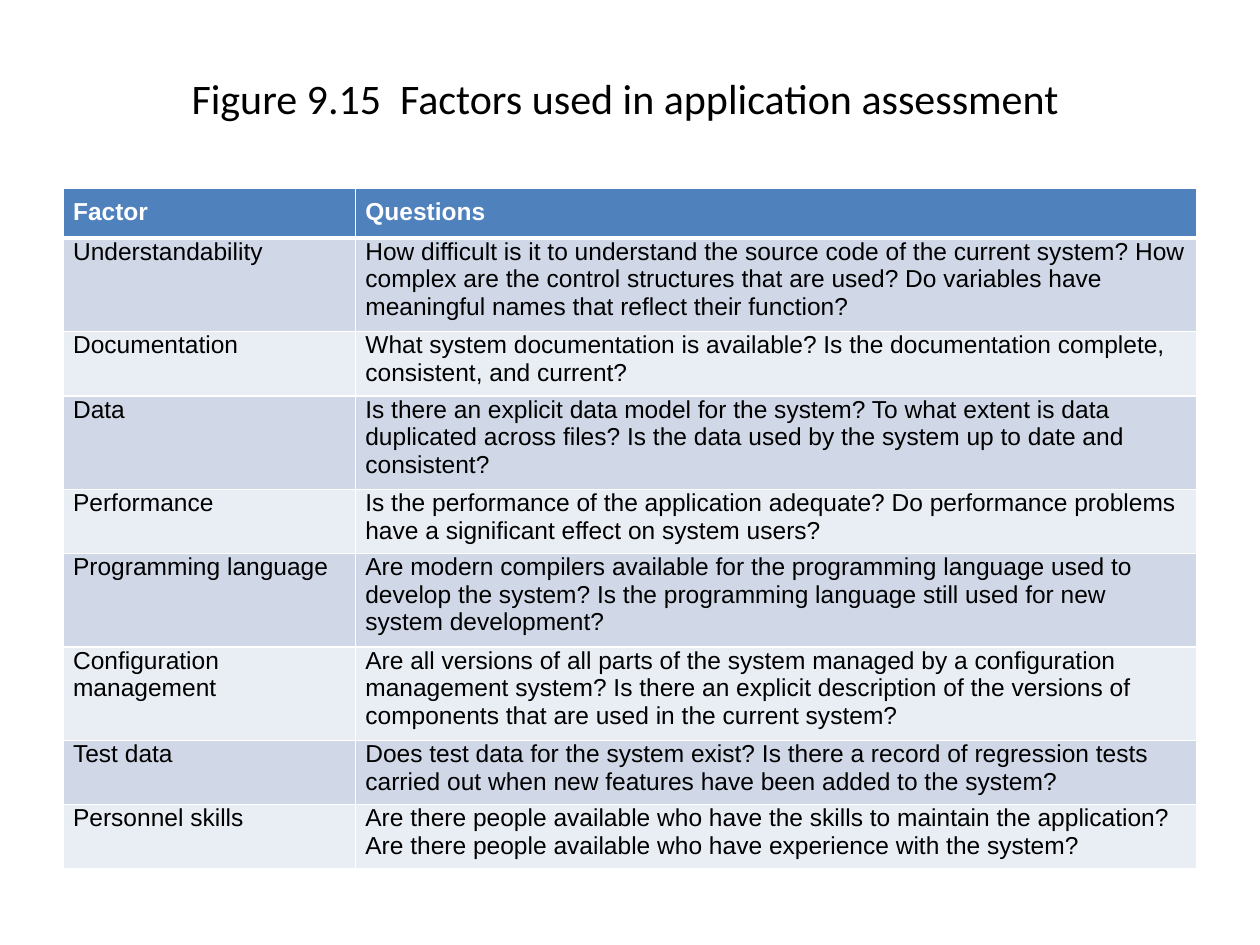
import pptx
import pptx.dml.color
import pptx.enum.text
import pptx.oxml
import pptx.oxml.ns
import pptx.util

Inches = pptx.util.Inches
Pt = pptx.util.Pt

COLORS = {
    "text": "000000",
    "header": "4F81BD",
    "band_dark": "D0D8E8",
    "band_light": "E9EDF4",
    "white": "FFFFFF",
}

HEADINGS = ("Factor", "Questions")
FACTORS = [
    ("Understandability",
     "How difficult is it to understand the source code of the current system? "
     "How complex are the control structures that are used? "
     "Do variables have meaningful names that reflect their function?"),
    ("Documentation",
     "What system documentation is available? "
     "Is the documentation complete, consistent, and current?"),
    ("Data",
     "Is there an explicit data model for the system? "
     "To what extent is data duplicated across files? "
     "Is the data used by the system up to date and consistent?"),
    ("Performance",
     "Is the performance of the application adequate? "
     "Do performance problems have a significant effect on system users?"),
    ("Programming language",
     "Are modern compilers available for the programming language used to "
     "develop the system? "
     "Is the programming language still used for new system development?"),
    ("Configuration management",
     "Are all versions of all parts of the system managed by a configuration "
     "management system? Is there an explicit description of the versions of "
     "components that are used in the current system?"),
    ("Test data",
     "Does test data for the system exist? Is there a record of regression "
     "tests carried out when new features have been added to the system?"),
    ("Personnel skills",
     "Are there people available who have the skills to maintain the "
     "application? Are there people available who have experience with the system?"),
]


def rgb(name):
    return pptx.dml.color.RGBColor.from_string(COLORS[name])


class SlideBuilder:
    """Holds the style and the current slide."""

    title_font = "Calibri"
    table_font = "Arial"
    inset = Inches(0.08)
    bottom_inset = Pt(3)

    def __init__(self, slide):
        self.slide = slide

    def set_font(self, paragraph, name, size, color, bold=False):
        font = paragraph.font
        font.name, font.size, font.bold = name, Pt(size), bold
        font.color.rgb = rgb(color)

    def title(self, text, left, top, width, height):
        box = self.slide.shapes.add_textbox(
            Inches(left), Inches(top), Inches(width), Inches(height))
        frame = box.text_frame
        frame.word_wrap = True
        frame.vertical_anchor = pptx.enum.text.MSO_ANCHOR.MIDDLE
        paragraph = frame.paragraphs[0]
        paragraph.text = text
        paragraph.alignment = pptx.enum.text.PP_ALIGN.CENTER
        self.set_font(paragraph, self.title_font, 24, "text")

    def borders(self, cell, widths):
        properties = cell._tc.get_or_add_tcPr()
        for index, (side, width) in enumerate(widths.items()):
            line = pptx.oxml.parse_xml(
                f'<a:{side} {pptx.oxml.ns.nsdecls("a")} w="{Pt(width)}">'
                f'<a:solidFill><a:srgbClr val="{COLORS["white"]}"/></a:solidFill>'
                f'</a:{side}>')
            properties.insert(index, line)

    def cell(self, cell, text, row):
        is_header = row == 0
        cell.margin_left = cell.margin_right = self.inset
        cell.margin_top = self.inset if is_header else 0
        cell.margin_bottom = self.bottom_inset
        paragraph = cell.text_frame.paragraphs[0]
        paragraph.text = text
        paragraph.space_after = Pt(6)
        self.set_font(paragraph, self.table_font, 14,
                      "white" if is_header else "text", is_header)
        band = "band_dark" if row % 2 else "band_light"
        cell.fill.solid()
        cell.fill.fore_color.rgb = rgb("header" if is_header else band)
        self.borders(cell, {"lnL": 1, "lnR": 1,
                            "lnT": 3 if row == 1 else 1,
                            "lnB": 3 if is_header else 1})

    def table(self, rows, left, top, column_widths, row_height):
        frame = self.slide.shapes.add_table(
            len(rows), len(column_widths), Inches(left), Inches(top),
            Inches(sum(column_widths)), Inches(row_height * len(rows)))
        table = frame.table
        for column, width in zip(table.columns, column_widths):
            column.width = Inches(width)
        for row, texts in enumerate(rows):
            table.rows[row].height = Inches(row_height)
            for column, text in enumerate(texts):
                self.cell(table.cell(row, column), text, row)


def main():
    deck = pptx.Presentation()
    deck.slide_width, deck.slide_height = Inches(10), Inches(7.5)
    page = SlideBuilder(deck.slides.add_slide(deck.slide_layouts[6]))

    # Figure title
    page.title("Figure 9.15  Factors used in application assessment ",
               0.5, 0.15, 9, 1.25)

    # Assessment factors and their questions
    page.table([HEADINGS] + FACTORS, 0.5, 1.49, (2.32, 6.68), 0.4)

    deck.save("out.pptx")


if __name__ == "__main__":
    main()
